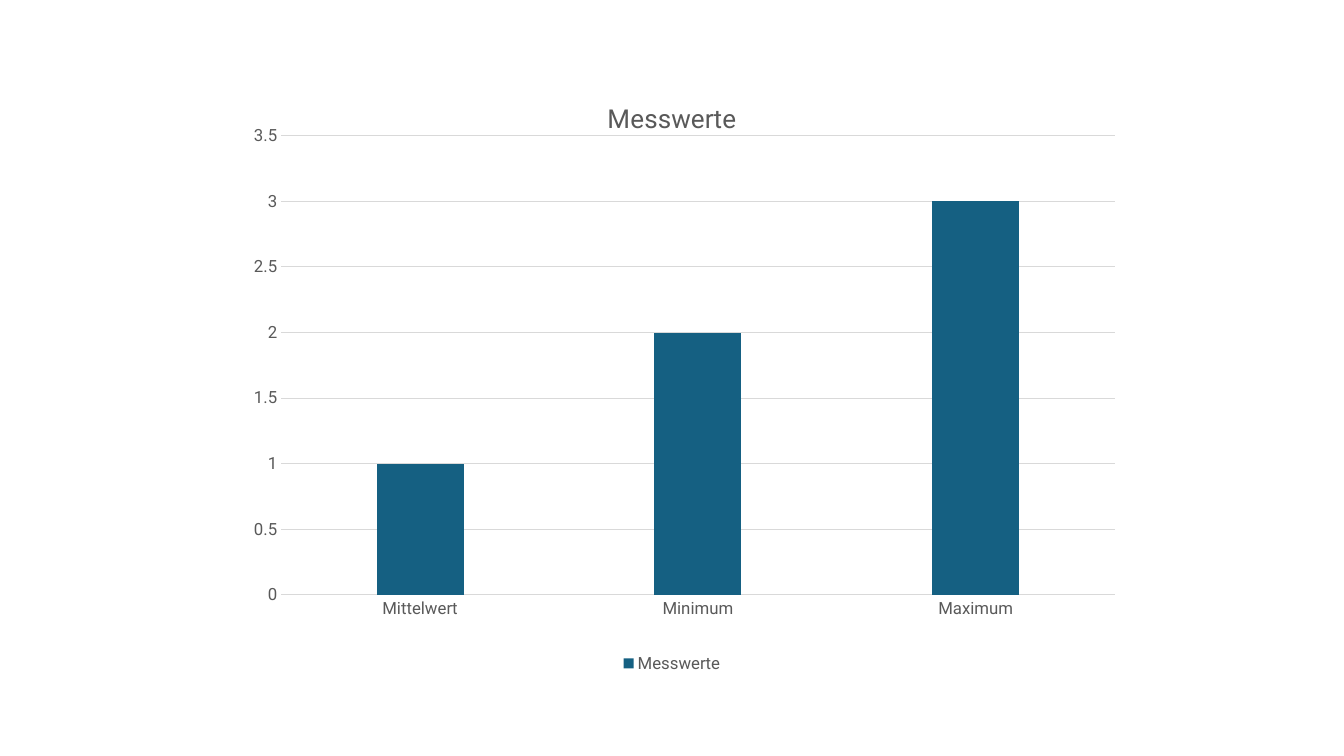
from lxml import etree
from pptx import Presentation
from pptx.chart.data import CategoryChartData
from pptx.dml.color import RGBColor
from pptx.enum.chart import XL_CHART_TYPE as ChartType
from pptx.enum.chart import XL_LEGEND_POSITION as LegendPosition
from pptx.enum.chart import XL_TICK_MARK as TickMark
from pptx.oxml.ns import qn
from pptx.util import Inches, Pt

TEXT_GREY = RGBColor(0x59, 0x59, 0x59)
LINE_GREY = RGBColor(0xD9, 0xD9, 0xD9)
COLUMN_BLUE = RGBColor(0x15, 0x60, 0x82)
FONT_NAME = "Roboto"

TITLE = "Messwerte"
MEASUREMENTS = {"Mittelwert": 1, "Minimum": 2, "Maximum": 3}
PLOT_LAYOUT = {
    "layoutTarget": "inner", "xMode": "edge", "yMode": "edge",
    "x": 0.064, "y": 0.094, "w": 0.93, "h": 0.768,
}


def set_format(target, values):
    for name, value in values.items():
        setattr(target, name, value)


def style_font(font, size):
    set_format(font, {"name": FONT_NAME, "size": Pt(size), "bold": False})
    font.color.rgb = TEXT_GREY


def style_line(line):
    line.color.rgb = LINE_GREY
    line.width = Pt(0.75)


def style_axis(axis):
    set_format(axis, {"major_tick_mark": TickMark.NONE,
                      "minor_tick_mark": TickMark.NONE})
    style_font(axis.tick_labels.font, 12)


def place_plot_area(chart):
    plot_area = chart.plots[0]._element.getparent()
    for old_layout in plot_area.findall(qn("c:layout")):
        plot_area.remove(old_layout)
    layout = etree.Element(qn("c:layout"))
    manual = etree.SubElement(layout, qn("c:manualLayout"))
    for tag, value in PLOT_LAYOUT.items():
        etree.SubElement(manual, qn(f"c:{tag}")).set("val", str(value))
    plot_area.insert(0, layout)


def add_column_chart(slide, left, top, width, height):
    data = CategoryChartData()
    data.categories = list(MEASUREMENTS)
    data.add_series(TITLE, list(MEASUREMENTS.values()))
    chart = slide.shapes.add_chart(
        ChartType.COLUMN_CLUSTERED, left, top, width, height, data).chart
    style_font(chart.font, 12)

    # Title
    chart.has_title = True
    title_frame = chart.chart_title.text_frame
    title_frame.text = TITLE
    style_font(title_frame.paragraphs[0].runs[0].font, 18.6)
    chart.chart_title.include_in_layout = False

    # Legend
    chart.has_legend = True
    set_format(chart.legend, {"position": LegendPosition.BOTTOM,
                              "include_in_layout": False})
    style_font(chart.legend.font, 12)

    # Axes
    style_axis(chart.category_axis)
    style_line(chart.category_axis.format.line)
    style_axis(chart.value_axis)
    chart.value_axis.format.line.fill.background()
    set_format(chart.value_axis, {"minimum_scale": 0, "maximum_scale": 3.5,
                                  "major_unit": 0.5,
                                  "has_major_gridlines": True})
    style_line(chart.value_axis.major_gridlines.format.line)

    # Columns
    plot = chart.plots[0]
    set_format(plot, {"gap_width": 219, "overlap": -27,
                      "vary_by_categories": False})
    column_fill = plot.series[0].format.fill
    column_fill.solid()
    column_fill.fore_color.rgb = COLUMN_BLUE
    place_plot_area(chart)


def main():
    presentation = Presentation()
    set_format(presentation, {"slide_width": Inches(13.33),
                              "slide_height": Inches(7.5)})
    slide = presentation.slides.add_slide(presentation.slide_layouts[6])
    add_column_chart(slide, Inches(2.22), Inches(0.79),
                     Inches(8.89), Inches(5.93))
    presentation.save("out.pptx")


if __name__ == "__main__":
    main()
